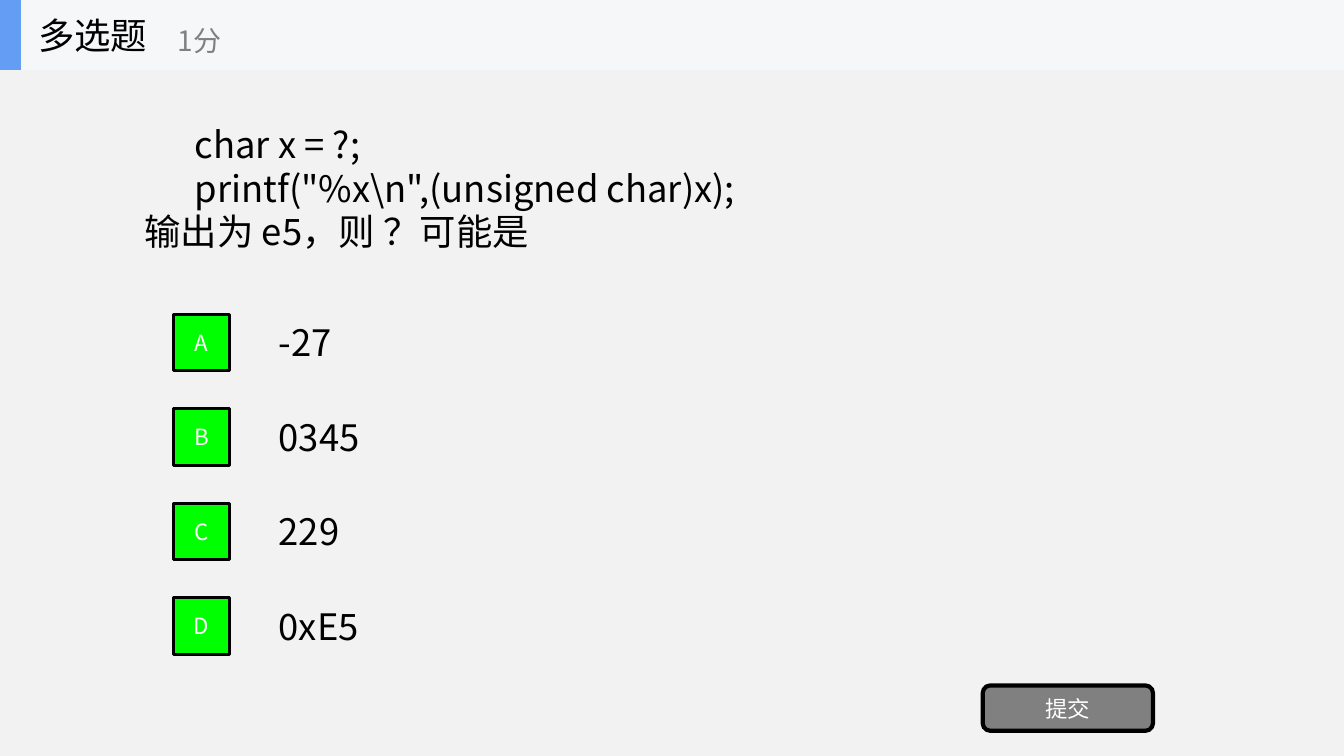
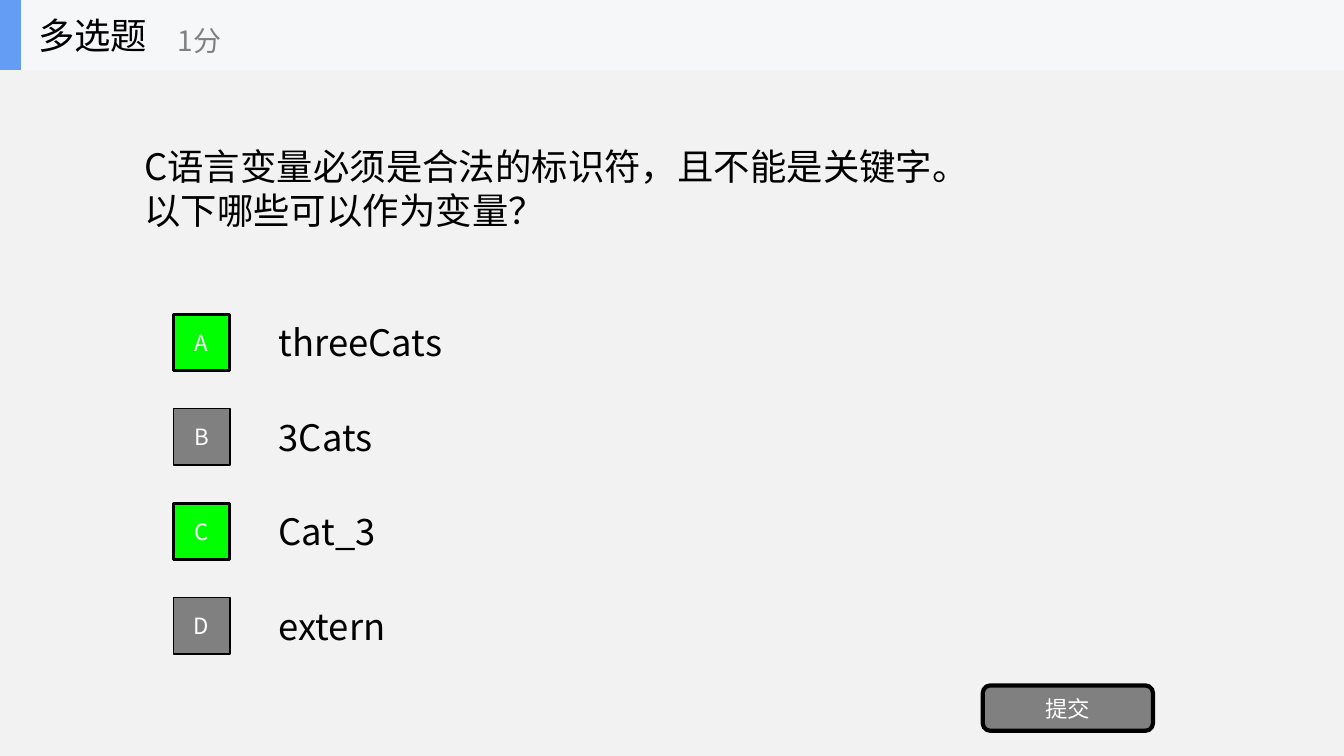
from dataclasses import dataclass

from pptx import Presentation
from pptx.dml.color import RGBColor
from pptx.enum.shapes import MSO_SHAPE
from pptx.enum.text import MSO_ANCHOR, MSO_AUTO_SIZE, PP_ALIGN
from pptx.oxml.ns import qn
from pptx.util import Pt


@dataclass(frozen=True)
class Theme:
    font: str = "Noto Sans CJK SC"
    page: str = "F2F2F2"
    band: str = "F6F7F8"
    accent: str = "639EF4"
    ink: str = "000000"
    muted: str = "808080"
    correct: str = "00FF00"
    light: str = "FFFFFF"
    body: int = 26
    score: int = 20
    label: int = 16


class Quiz:
    WIDTH, HEIGHT, BAND = 960, 540, 50
    OPTION_TOP, OPTION_STEP, OPTION_HEIGHT = 219.4, 67.5, 50.4
    BADGE = 40.4

    def __init__(self, theme):
        self.theme = theme
        self.prs = Presentation()
        self.prs.slide_width, self.prs.slide_height = Pt(self.WIDTH), Pt(self.HEIGHT)
        fill = self.prs.slide_master.background.fill
        fill.solid()
        fill.fore_color.rgb = RGBColor.from_string(theme.page)
        self.s = None

    def set_text(self, sp, lines, size, color, align=PP_ALIGN.LEFT):
        tf = sp.text_frame
        frame = {"word_wrap": True, "auto_size": MSO_AUTO_SIZE.NONE,
                 "vertical_anchor": MSO_ANCHOR.MIDDLE}
        for name, value in frame.items():
            setattr(tf, name, value)
        style = {"name": self.theme.font, "size": Pt(size), "bold": False}
        for i, line in enumerate(lines):
            p = tf.add_paragraph() if i else tf.paragraphs[0]
            p.alignment = align
            r = p.add_run()
            r.text = line
            for name, value in style.items():
                setattr(r.font, name, value)
            r.font.color.rgb = RGBColor.from_string(color)
            ea = r._r.get_or_add_rPr().makeelement(qn("a:ea"), {"typeface": self.theme.font})
            r._r.rPr.find(qn("a:latin")).addnext(ea)

    def text(self, box, lines, size, color):
        sp = self.s.shapes.add_textbox(*map(Pt, box))
        self.set_text(sp, lines, size, color)

    def shape(self, box, fill, line=0, label=None, kind=MSO_SHAPE.RECTANGLE):
        sp = self.s.shapes.add_shape(kind, *map(Pt, box))
        sp.shadow.inherit = False
        sp.fill.solid()
        sp.fill.fore_color.rgb = RGBColor.from_string(fill)
        if line:
            sp.line.width = Pt(line)
            sp.line.color.rgb = RGBColor.from_string(self.theme.ink)
        else:
            sp.line.fill.background()
        if label:
            self.set_text(sp, [label], self.theme.label, self.theme.light, PP_ALIGN.CENTER)

    def title(self, text):
        sp = self.s.shapes.title
        place = {"left": 20, "top": 0, "width": 150, "height": self.BAND}
        for name, value in place.items():
            setattr(sp, name, Pt(value))
        self.set_text(sp, [text], self.theme.body, self.theme.ink)
        self.s.shapes.element.append(sp.element)

    def header(self, title, score):
        self.shape((0, 0, self.WIDTH, self.BAND), self.theme.band)
        self.shape((0, 0, 15, self.BAND), self.theme.accent)
        self.title(title)
        self.text((120, 9, 180, 40), [score], self.theme.score, self.theme.muted)

    def option(self, index, letter, answer, correct):
        top = self.OPTION_TOP + index * self.OPTION_STEP
        self.text((192, top, 672, self.OPTION_HEIGHT), [answer],
                  self.theme.body, self.theme.ink)
        fill, line = (self.theme.correct, 2) if correct else (self.theme.muted, 1)
        inset = (self.OPTION_HEIGHT - self.BADGE) / 2
        self.shape((123.8, top + inset, self.BADGE, self.BADGE), fill, line, letter)

    def submit(self, label):
        self.shape((702, 489.6, 121.6, 32.4), self.theme.muted, 3, label,
                   MSO_SHAPE.ROUNDED_RECTANGLE)

    def question(self, lines, answers, correct):
        self.s = self.prs.slides.add_slide(self.prs.slide_layouts[5])
        self.text((96, self.BAND, 768, 168), lines, self.theme.body, self.theme.ink)
        for i, (letter, answer) in enumerate(zip("ABCD", answers)):
            self.option(i, letter, answer, letter in correct)
        self.submit("提交")
        self.header("多选题", "1分")


def main():
    quiz = Quiz(Theme())
    quiz.question(
        ["\tchar x = ?;", "\tprintf(\"%x\\n\",(unsigned char)x);", "输出为 e5，则 ？可能是"],
        ["-27", "0345", "229", "0xE5"], "ABCD")
    quiz.question(
        ["C语言变量必须是合法的标识符，且不能是关键字。", "以下哪些可以作为变量？"],
        ["threeCats", "3Cats", "Cat_3", "extern"], "AC")
    quiz.prs.save("out.pptx")


if __name__ == "__main__":
    main()
